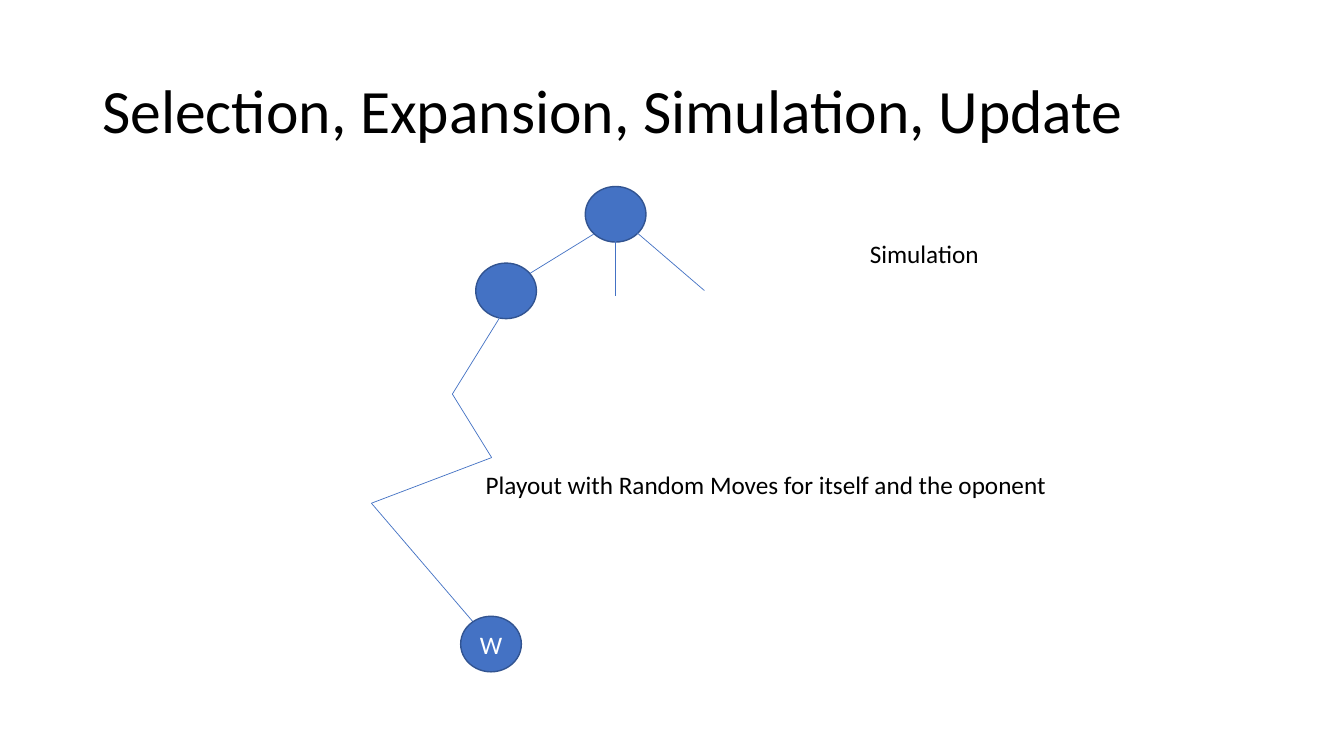
"""Build the playout slide of a tree search talk."""
import dataclasses
import itertools

import pptx
import pptx.dml.color
import pptx.enum.shapes
import pptx.enum.text
import pptx.oxml.xmlchemy
import pptx.util

Cm, Pt = pptx.util.Cm, pptx.util.Pt
RGB = pptx.dml.color.RGBColor.from_string
ANCHOR = pptx.enum.text.MSO_ANCHOR
ALIGN = pptx.enum.text.PP_ALIGN


@dataclasses.dataclass
class Theme:
    font: str = "Calibri"
    text: str = "000000"
    node: str = "4472C4"
    node_line: str = "325491"
    node_text: str = "FFFFFF"
    title_size: int = 44
    body_size: int = 18
    node_width: float = 1.53
    node_height: float = 1.4


class TreeSlide:
    def __init__(self, s, theme):
        self.s = s
        self.theme = theme

    def style_text(self, p, text, size, color):
        p.text = text
        p.font.name = self.theme.font
        p.font.size = Pt(size)
        p.font.color.rgb = RGB(color)

    def title(self, text, x, y, w, h):
        tf = self.s.shapes.add_textbox(Cm(x), Cm(y), Cm(w), Cm(h)).text_frame
        tf.word_wrap = True
        tf.vertical_anchor = ANCHOR.MIDDLE
        p = tf.paragraphs[0]
        p.line_spacing = 0.9
        self.style_text(p, text, self.theme.title_size, self.theme.text)

    def label(self, text, x, y, w, h=1.03):
        tf = self.s.shapes.add_textbox(Cm(x), Cm(y), Cm(w), Cm(h)).text_frame
        tf.word_wrap = False
        tf.auto_size = pptx.enum.text.MSO_AUTO_SIZE.SHAPE_TO_FIT_TEXT
        self.style_text(tf.paragraphs[0], text, self.theme.body_size, self.theme.text)

    def node(self, x, y, text=""):
        t = self.theme
        sp = self.s.shapes.add_shape(
            pptx.enum.shapes.MSO_SHAPE.OVAL,
            Cm(x), Cm(y), Cm(t.node_width), Cm(t.node_height))
        sp.shadow.inherit = False
        sp.fill.solid()
        sp.fill.fore_color.rgb = RGB(t.node)
        sp.line.color.rgb = RGB(t.node_line)
        sp.line.width = Pt(1)
        if text:
            sp.text_frame.vertical_anchor = ANCHOR.MIDDLE
            p = sp.text_frame.paragraphs[0]
            p.alignment = ALIGN.CENTER
            self.style_text(p, text, t.body_size, t.node_text)

    def branch(self, *points):
        for start, end in itertools.pairwise(points):
            line = self.s.shapes.add_connector(
                pptx.enum.shapes.MSO_CONNECTOR.STRAIGHT,
                *(Cm(v) for v in start + end))
            line.line.color.rgb = RGB(self.theme.node)
            line.line.width = Pt(0.5)
            line._element.spPr.append(
                pptx.oxml.xmlchemy.OxmlElement("a:effectLst"))


def main():
    prs = pptx.Presentation()
    prs.slide_width, prs.slide_height = Cm(33.87), Cm(19.05)
    tree = TreeSlide(prs.slides.add_slide(prs.slide_layouts[6]), Theme())

    tree.title("Selection, Expansion, Simulation, Update", 2.33, 1.01, 29.21, 3.68)
    tree.node(14.75, 4.7)
    tree.branch((14.96, 5.9), (12.85, 7.2))
    tree.branch((15.5, 5.23), (15.5, 7.47))
    tree.branch((15.5, 5.39), (17.75, 7.32))
    tree.label("Simulation", 21.67, 5.89, 3.3)
    tree.node(11.99, 6.63)
    tree.branch((12.75, 7.75), (11.4, 9.93), (12.39, 11.53),
                (9.36, 12.68), (11.99, 15.75))
    tree.node(11.61, 15.53, "W")
    tree.label("Playout with Random Moves for itself and the oponent",
               11.99, 11.71, 14.96)
    prs.save("out.pptx")


if __name__ == "__main__":
    main()
